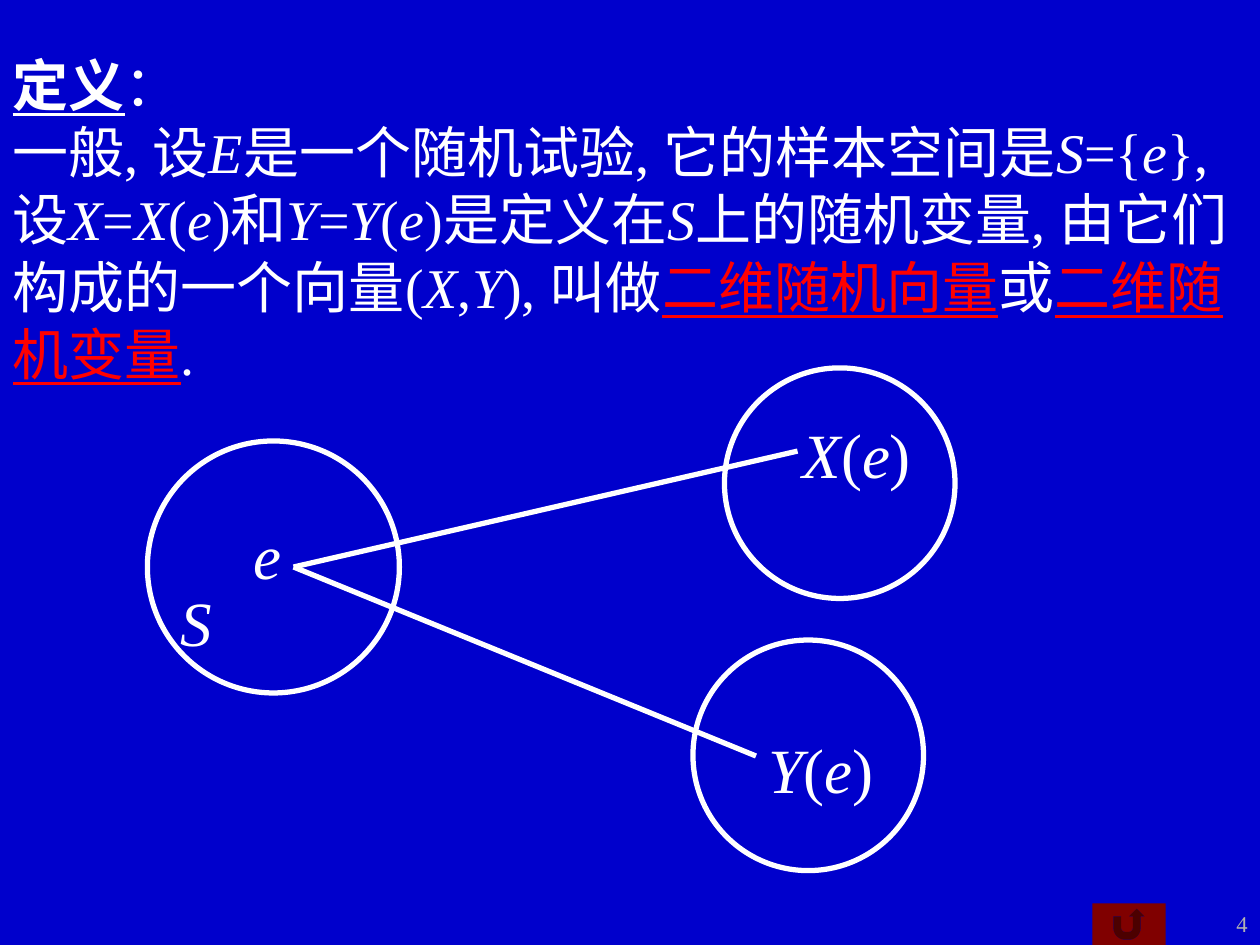
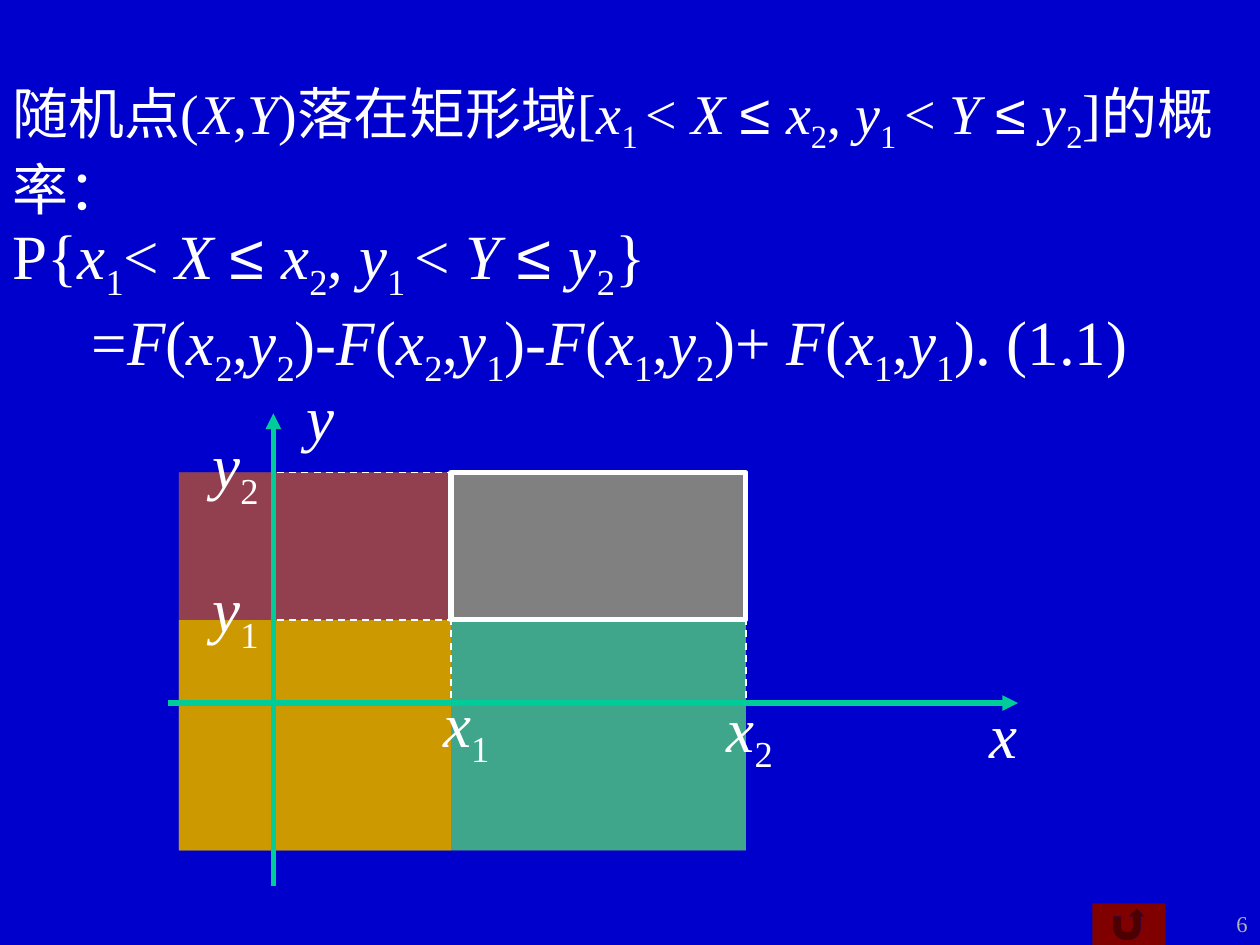
"""Build two slides on two-dimensional random variables."""
from dataclasses import dataclass
from itertools import groupby
from typing import Iterator, NamedTuple, Optional

from lxml import etree
from pptx import Presentation
from pptx import util as u
from pptx.dml.color import RGBColor
from pptx.enum import dml, shapes, text
from pptx.oxml import ns
from pptx.slide import Slide


@dataclass(frozen=True)
class Theme:
    """Colours, fonts and type sizes of the deck."""
    ground: str = "0000CC"
    ink: str = "FFFFFF"
    term: str = "FF0000"
    button: str = "800000"
    number: str = "B2B2B2"
    axis: str = "00CC99"
    target: str = "808080"
    corner: str = "CC9900"
    upper_strip: str = "A50021"
    lower_strip: str = "00CC99"
    serif: str = "Times New Roman"
    sans: str = "Arial"
    title_size: float = 32
    label_size: float = 36
    number_size: float = 12.9
    stroke: float = 3
    guide: float = 1


THEME = Theme()
SUBSCRIPT = "~"
TERM = "#"
FORMATS = {
    "*": {"italic": True},
    SUBSCRIPT: {},
    "@": {"name": THEME.sans},
    "^": {"bold": True, "underline": True},
    TERM: {"underline": True},
}


class Box(NamedTuple):
    """Left, top, width and height in inches."""
    left: float
    top: float
    width: float
    height: float

    def lengths(self) -> list:
        """Return the four measures as lengths."""
        return [u.Inches(value) for value in self]


class Label(NamedTuple):
    """A piece of mathematical text and its box."""
    markup: str
    box: Box


class Line(NamedTuple):
    """A straight line between two points in inches."""
    start: tuple
    end: tuple


class Region(NamedTuple):
    """A filled rectangle and its opacity in percent."""
    box: Box
    colour: str
    opacity: int = 100


def spans(markup: str) -> Iterator[tuple]:
    """Split marked-up text into pieces of equal format."""
    active, styled = frozenset(), []
    for char in markup:
        if char in FORMATS:
            active = active ^ {char}
        else:
            styled.append((active, char))
    for marks, pieces in groupby(styled, key=lambda item: item[0]):
        yield marks, "".join(char for _, char in pieces)


def write(frame, lines: list, size: float, align, colour: str = THEME.ink) -> None:
    """Fill a text frame with one paragraph per line."""
    frame.auto_size = text.MSO_AUTO_SIZE.NONE
    frame.vertical_anchor = text.MSO_ANCHOR.TOP
    for index, markup in enumerate(lines):
        paragraph = frame.add_paragraph() if index else frame.paragraphs[0]
        paragraph.alignment = align
        for marks, words in spans(markup):
            run = paragraph.add_run()
            run.text = words
            values = {"name": THEME.serif, "size": u.Pt(size)}
            for mark in marks:
                values.update(FORMATS[mark])
            for name, value in values.items():
                setattr(run.font, name, value)
            run.font.color.rgb = RGBColor.from_string(THEME.term if TERM in marks else colour)
            if SUBSCRIPT in marks:
                run.font._element.set("baseline", "-25000")


def add_text(slide: Slide, lines: list, box: Box, size: float = THEME.label_size,
             align=text.PP_ALIGN.CENTER, colour: str = THEME.ink, wrap: bool = False):
    """Add a text box and return its frame."""
    frame = slide.shapes.add_textbox(*box.lengths()).text_frame
    frame.word_wrap = wrap
    write(frame, lines, size, align, colour)
    return frame


def add_figure(slide: Slide, kind, box: Box, fill: Optional[str] = None,
               outline: Optional[str] = None, opacity: int = 100) -> None:
    """Add a preset shape with an optional fill and outline."""
    figure = slide.shapes.add_shape(kind, *box.lengths())
    figure.shadow.inherit = False
    if fill:
        figure.fill.solid()
        figure.fill.fore_color.rgb = RGBColor.from_string(fill)
        if opacity < 100:
            tint = figure._element.spPr.find(".//" + ns.qn("a:srgbClr"))
            etree.SubElement(tint, ns.qn("a:alpha"), val=str(opacity * 1000))
    else:
        figure.fill.background()
    if outline:
        figure.line.color.rgb = RGBColor.from_string(outline)
        figure.line.width = u.Pt(THEME.stroke)
    else:
        figure.line.fill.background()


def add_line(slide: Slide, line: Line, colour: str = THEME.ink, width: float = THEME.stroke,
             dashed: bool = False, arrow: bool = False) -> None:
    """Add a straight connector, dashed or with an arrowhead if asked."""
    ends = [u.Inches(value) for value in (*line.start, *line.end)]
    connector = slide.shapes.add_connector(shapes.MSO_CONNECTOR.STRAIGHT, *ends)
    connector.line.color.rgb = RGBColor.from_string(colour)
    connector.line.width = u.Pt(width)
    if dashed:
        connector.line.dash_style = dml.MSO_LINE.DASH
    properties = connector._element.spPr
    if arrow:
        etree.SubElement(properties.find(ns.qn("a:ln")), ns.qn("a:tailEnd"), type="triangle")
    etree.SubElement(properties, ns.qn("a:effectLst"))


def add_slide(deck, number: str, title_lines: list, title_box: Box) -> Slide:
    """Add a slide with its title, return button and number."""
    slide = deck.slides.add_slide(deck.slide_layouts[5])
    title = slide.shapes.title
    places = dict(zip(("left", "top", "width", "height"), title_box.lengths()))
    for name, value in places.items():
        setattr(title, name, value)
    title.text_frame.word_wrap = True
    write(title.text_frame, title_lines, THEME.title_size, text.PP_ALIGN.LEFT)
    add_figure(slide, shapes.MSO_SHAPE.ACTION_BUTTON_RETURN,
               Box(8.67, 7.17, 0.58, 0.33), THEME.button)
    add_text(slide, [number], Box(9.33, 7.17, 0.67, 0.33), THEME.number_size,
             text.PP_ALIGN.RIGHT, THEME.number, True)
    return slide


def build_definition(deck) -> None:
    """Define the random vector and map the sample space to its values."""
    slide = add_slide(deck, "4", [
        "^定义^：",
        "一般, 设*E*是一个随机试验, 它的样本空间是*S*={*e*}, 设*X*=*X*(*e*)和*Y*=*Y*(*e*)是定义在*S*"
        "上的随机变量, 由它们构成的一个向量(*X*,*Y*), 叫做#二维随机向量#或#二维随机变量#.",
    ], Box(0, 0.35, 10, 2.93))
    for left, top, diameter in ((1.17, 3.5, 2), (5.75, 2.92, 1.83), (5.5, 5.08, 1.83)):
        add_figure(slide, shapes.MSO_SHAPE.OVAL, Box(left, top, diameter, diameter),
                   outline=THEME.ink)
    outcome = (2.33, 4.5)
    for value in ((6.33, 3.58), (6, 6)):
        add_line(slide, Line(outcome, value))
    for label in (
        Label("*S*", Box(1.33, 4.58, 0.45, 0.7)),
        Label("*e*", Box(1.91, 4.05, 0.42, 0.7)),
        Label("*X*(*e*)", Box(6.27, 3.25, 1.06, 0.7)),
        Label("*Y*(*e*)", Box(6, 5.75, 1.03, 0.7)),
    ):
        add_text(slide, [label.markup], label.box)


def build_rectangle(deck) -> None:
    """Show the probability of a rectangle by the distribution function."""
    bounds = "*x*~1 ~< *X* @≤ @*x*~2~, *y*~1 ~< *Y* @≤ @*y*~2~"
    slide = add_slide(deck, "6", [f"随机点(*X*,*Y*)落在矩形域[{bounds}]的概率："],
                      Box(0, 0.57, 10, 0.92))
    left, x1, x2 = 1.42, 3.58, 5.92
    y2, y1, bottom = 3.75, 4.92, 6.75
    origin_x, origin_y = 2.17, 5.58
    rectangle = Box(x1, y2, x2 - x1, y1 - y2)
    for region in (
        Region(Box(left, y2, x2 - left, bottom - y2), THEME.target),
        Region(Box(left, y1, x1 - left, bottom - y1), THEME.corner),
        Region(Box(left, y2, x1 - left, y1 - y2), THEME.upper_strip, 50),
        Region(Box(x1, y1, x2 - x1, bottom - y1), THEME.lower_strip, 50),
    ):
        add_figure(slide, shapes.MSO_SHAPE.RECTANGLE, region.box, region.colour,
                   opacity=region.opacity)
    for axis in (Line((1.33, origin_y), (8.08, origin_y)),
                 Line((origin_x, 7.03), (origin_x, 3.28))):
        add_line(slide, axis, THEME.axis, arrow=True)
    guides = [Line((x, y2), (x, origin_y)) for x in (x1, x2)]
    guides += [Line((x2, y), (origin_x, y)) for y in (y2, y1)]
    for guide in guides:
        add_line(slide, guide, width=THEME.guide, dashed=True)
    for label in (
        Label("*x*", Box(7.75, 5.47, 0.42, 0.7)),
        Label("*y*", Box(2.33, 2.95, 0.42, 0.7)),
        Label("*y*~1~", Box(1.59, 4.47, 0.56, 0.79)),
        Label("*y*~2~", Box(1.59, 3.33, 0.56, 0.79)),
        Label("*x*~1~", Box(3.42, 5.38, 0.56, 0.79)),
        Label("*x*~2~", Box(5.67, 5.42, 0.56, 0.79)),
    ):
        add_text(slide, [label.markup], label.box)
    add_figure(slide, shapes.MSO_SHAPE.RECTANGLE, rectangle, outline=THEME.ink)
    f22, f21, f12, f11 = (f"*F*(*x*~{i}~,*y*~{j}~)" for i in (2, 1) for j in (2, 1))
    f21, f12 = f21, f12
    formula = add_text(slide, [
        "P{" + bounds.replace("~1 ~", "~1~", 1) + "}",
        f"={f22}-{f21}-{f12}+ {f11}. (1.1)",
    ], Box(0, 1.67, 10, 1.47), align=text.PP_ALIGN.LEFT, wrap=True)
    formula.paragraphs[1]._p.get_or_add_pPr().set("marL", str(u.Inches(0.63)))


def main() -> None:
    """Build and save the deck."""
    deck = Presentation()
    deck.slide_width, deck.slide_height = u.Inches(10), u.Inches(7.5)
    ground = deck.slide_master.background.fill
    ground.solid()
    ground.fore_color.rgb = RGBColor.from_string(THEME.ground)
    build_definition(deck)
    build_rectangle(deck)
    deck.save("out.pptx")


main()
